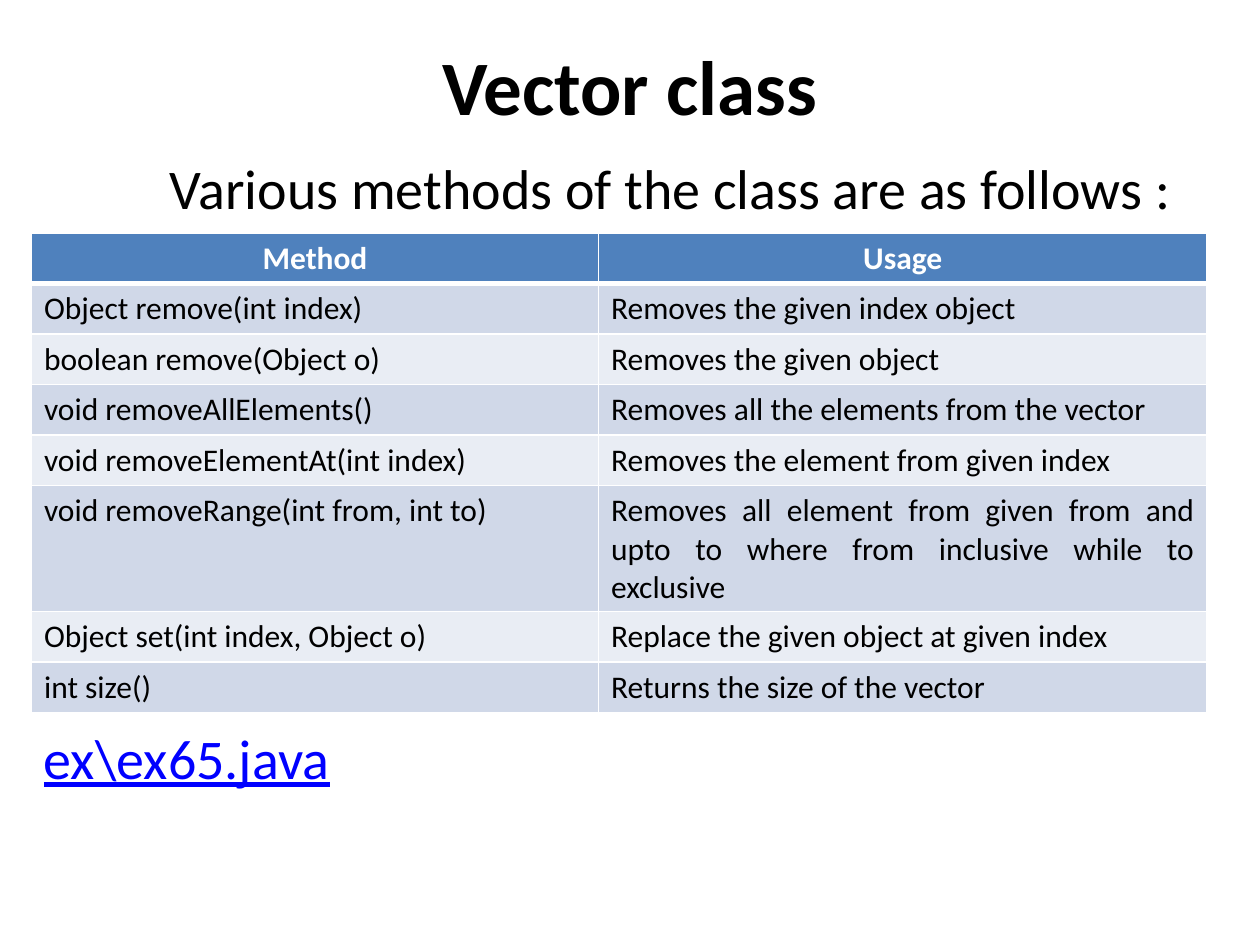
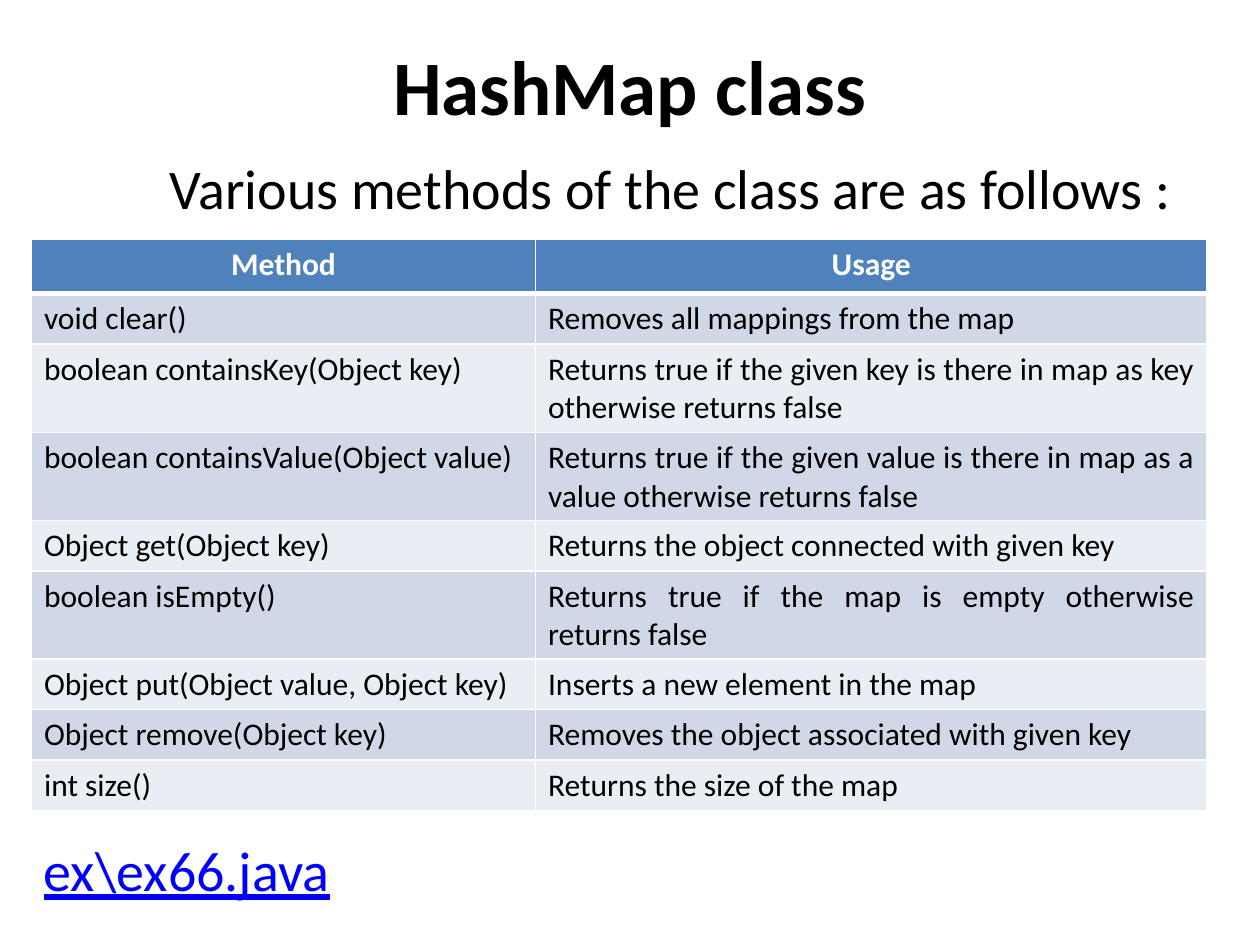
from dataclasses import dataclass
from lxml import etree
from pptx import Presentation
from pptx.dml.color import RGBColor
from pptx.enum.text import MSO_ANCHOR, PP_ALIGN
from pptx.oxml.ns import qn
from pptx.util import Inches, Pt

LEFT, MID, FULL = PP_ALIGN.LEFT, PP_ALIGN.CENTER, PP_ALIGN.JUSTIFY
TOP, CENTRE = MSO_ANCHOR.TOP, MSO_ANCHOR.MIDDLE


@dataclass(frozen=True)
class Theme:
    font: str = "Calibri"
    ink: str = "000000"
    paper: str = "FFFFFF"
    link: str = "0000FF"
    head: str = "4F81BD"
    bands: tuple = ("D0D8E8", "E9EDF4")
    title: int = 44
    lead: int = 32
    cell: int = 18
    thin: int = 1
    thick: int = 3


class Deck:
    def __init__(self, theme):
        self.theme = theme
        self.file = Presentation()
        self.file.slide_width = Inches(10)
        self.file.slide_height = Inches(7.5)
        self.slide = None

    def page(self):
        self.slide = self.file.slides.add_slide(self.file.slide_layouts[6])

    def label(self, frame, text, size, color, align, **style):
        para = frame.paragraphs[0]
        para.alignment = align
        run = para.add_run()
        run.text = text
        values = {"name": self.theme.font, "size": Pt(size), **style}
        for name, value in values.items():
            setattr(run.font, name, value)
        run.font.color.rgb = RGBColor.from_string(color)
        return para

    def box(self, place, text, size, color, align, anchor=TOP, **style):
        shape = self.slide.shapes.add_textbox(*map(Inches, place))
        frame = shape.text_frame
        frame.word_wrap = True
        frame.vertical_anchor = anchor
        return self.label(frame, text, size, color, align, **style)

    def title(self, text):
        look = self.theme
        self.box((0, 0.17, 10, 1), text, look.title, look.ink, MID, CENTRE, bold=True)

    def line(self, top, text, color, indent=0, **style):
        para = self.box((0.25, top, 9.58, 0.64), text, self.theme.lead, color, FULL, **style)
        para._p.get_or_add_pPr().set("indent", str(Inches(indent)))

    def border(self, cell, base):
        look = self.theme
        sides = {"lnL": look.thin, "lnR": look.thin, "lnT": look.thin, "lnB": base}
        props = cell._tc.get_or_add_tcPr()
        for side, width in sides.items():
            edge = etree.SubElement(props, qn("a:" + side), w=str(Pt(width)))
            fill = etree.SubElement(edge, qn("a:solidFill"))
            etree.SubElement(fill, qn("a:srgbClr"), val=look.paper)

    def cell(self, cell, text, fill, color, align, base, bold):
        self.border(cell, base)
        cell.fill.solid()
        cell.fill.fore_color.rgb = RGBColor.from_string(fill)
        self.label(cell.text_frame, text, self.theme.cell, color, align, bold=bold)

    def table(self, top, cols, head, rows):
        look = self.theme
        count = len(rows) + 1
        high = 0.4
        shape = self.slide.shapes.add_table(
            count, len(cols), Inches(0.25), Inches(top),
            Inches(sum(cols)), Inches(head + high * len(rows)))
        grid = shape.table
        for col, width in zip(grid.columns, cols):
            col.width = Inches(width)
        for index, row in enumerate(grid.rows):
            row.height = Inches(high if index else head)
        for cell, text in zip(grid.rows[0].cells, ("Method", "Usage")):
            self.cell(cell, text, look.head, look.paper, MID, look.thick, True)
        for index, texts in enumerate(rows):
            fill = look.bands[index % 2]
            cells = grid.rows[index + 1].cells
            for cell, text, align in zip(cells, texts, (LEFT, FULL)):
                self.cell(cell, text, fill, look.ink, align, look.thin, False)

    def methods(self, title, top, cols, head, rows, foot, link):
        look = self.theme
        self.page()
        self.title(title)
        self.line(1.17, "Various methods of the class are as follows :", look.ink, 1)
        self.table(top, cols, head, rows)
        self.line(foot, link, look.link, underline=True)


VECTOR = (
    ("Object remove(int index)", "Removes the given index object"),
    ("boolean remove(Object o)", "Removes the given object"),
    ("void removeAllElements()", "Removes all the elements from the vector"),
    ("void removeElementAt(int index)", "Removes the element from given index"),
    ("void removeRange(int from, int to)",
     "Removes all element from given from and upto to where from inclusive while to exclusive"),
    ("Object set(int index, Object o)", "Replace the given object at given index"),
    ("int size()", "Returns the size of the vector"),
)
MAP = (
    ("void clear()", "Removes all mappings from the map"),
    ("boolean containsKey(Object key)",
     "Returns true if the given key is there in map as key otherwise returns false"),
    ("boolean containsValue(Object value)",
     "Returns true if the given value is there in map as a value otherwise returns false"),
    ("Object get(Object key)", "Returns the object connected with given key"),
    ("boolean isEmpty()", "Returns true if the map is empty otherwise returns false"),
    ("Object put(Object value, Object key)", "Inserts a new element in the map"),
    ("Object remove(Object key)", "Removes the object associated with given key"),
    ("int size()", "Returns the size of the map"),
)


def main():
    deck = Deck(Theme())
    deck.methods("Vector class", 1.85, (4.5, 4.83), 0.4, VECTOR, 5.69, r"ex\ex65.java")
    deck.methods("HashMap class", 1.9, (4, 5.33), 0.43, MAP, 6.58, r"ex\ex66.java")
    deck.file.save("out.pptx")


if __name__ == "__main__":
    main()
